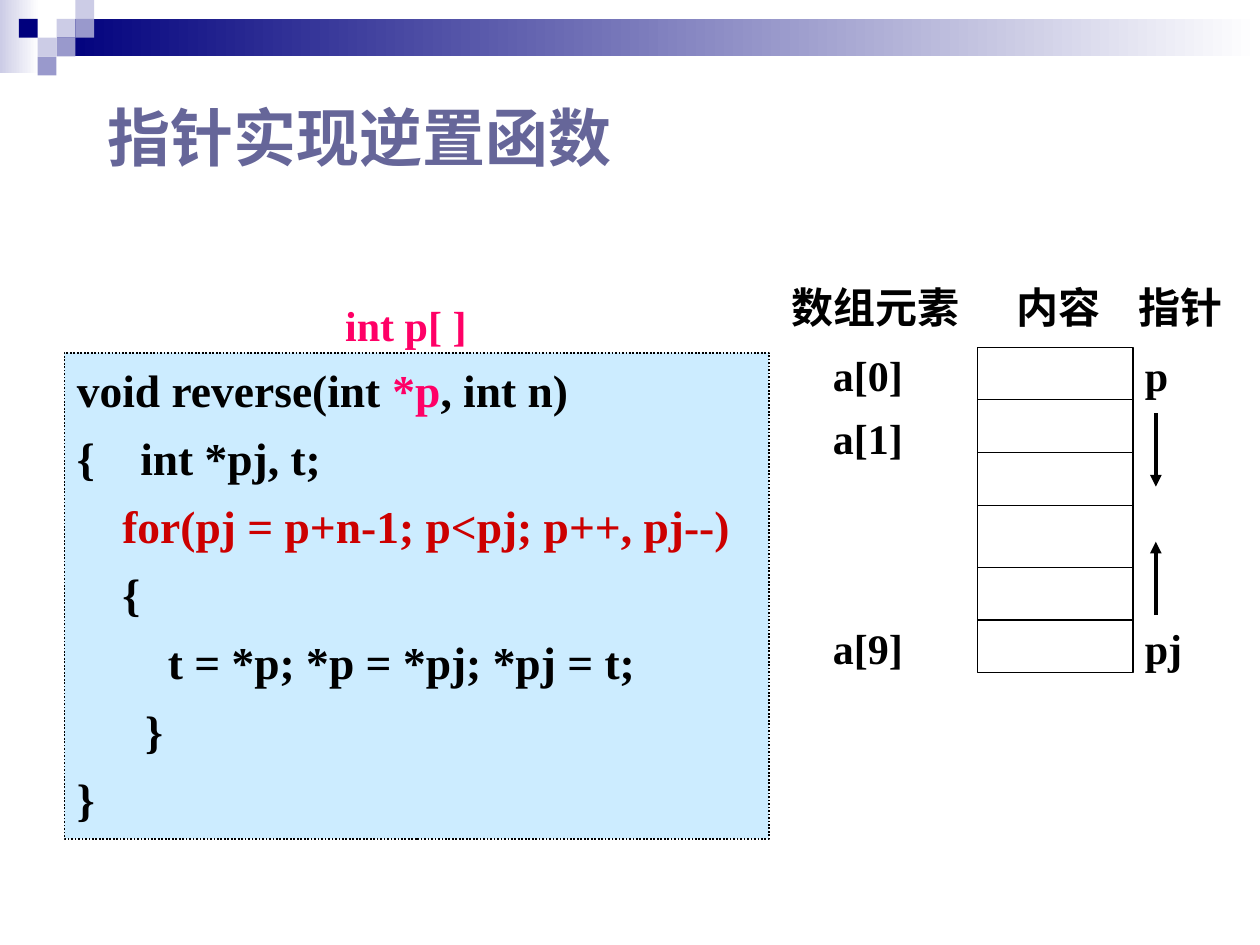
from dataclasses import dataclass

import pptx
import pptx.dml.color
import pptx.enum.dml
import pptx.enum.shapes
import pptx.enum.text
import pptx.oxml.ns
import pptx.util
from lxml import etree

Cm = pptx.util.Cm
Pt = pptx.util.Pt
qn = pptx.oxml.ns.qn


@dataclass
class Theme:
    title_font: str = "Arial"
    text_font: str = "Times New Roman"
    title_size: int = 36
    label_size: int = 24
    code_size: int = 26
    title: str = "666699"
    ink: str = "000000"
    accent: str = "FF0066"
    loop: str = "CC0000"
    panel: str = "CCECFF"
    white: str = "FFFFFF"
    navy: str = "00007D"
    pale: str = "CCCCE6"
    violet: str = "9999CC"


def rgb(value):
    return pptx.dml.color.RGBColor.from_string(value)


class Page:
    def __init__(self, deck, theme):
        self.theme = theme
        self.slide = deck.slides.add_slide(deck.slide_layouts[5])

    def style(self, para, size, color, font=None):
        para.font.name = font or self.theme.text_font
        para.font.size = Pt(size)
        para.font.bold = True
        para.font.color.rgb = rgb(color)

    def heading(self, text, left, top, width, height):
        box = self.slide.shapes.title
        box.left, box.top, box.width, box.height = map(Cm, (left, top, width, height))
        box.text_frame.text = text
        box.text_frame.vertical_anchor = pptx.enum.text.MSO_ANCHOR.MIDDLE
        para = box.text_frame.paragraphs[0]
        para.alignment = pptx.enum.text.PP_ALIGN.LEFT
        self.style(para, self.theme.title_size, self.theme.title, self.theme.title_font)

    def rect(self, left, top, width, height, fill=None, fade=None, line=None):
        box = self.slide.shapes.add_shape(
            pptx.enum.shapes.MSO_SHAPE.RECTANGLE, *map(Cm, (left, top, width, height)))
        box.shadow.inherit = False
        if fade:
            box.fill.gradient()
            box.fill.gradient_angle = 0
            for stop, color in zip(box.fill.gradient_stops, (fill, fade)):
                stop.color.rgb = rgb(color)
        elif fill:
            box.fill.solid()
            box.fill.fore_color.rgb = rgb(fill)
        else:
            box.fill.background()
        if line:
            box.line.color.rgb = rgb(self.theme.ink)
            box.line.width = Pt(line)
        else:
            box.line.fill.background()
        return box

    def line(self, start, end, width, arrow=False):
        link = self.slide.shapes.add_connector(
            pptx.enum.shapes.MSO_CONNECTOR.STRAIGHT, *map(Cm, start + end))
        link.line.color.rgb = rgb(self.theme.ink)
        link.line.width = Pt(width)
        if arrow:
            etree.SubElement(link.line._get_or_add_ln(), qn("a:tailEnd"), type="triangle")
        etree.SubElement(link._element.spPr, qn("a:effectLst"))

    def label(self, text, left, top, width, height=1.07, color=None):
        box = self.slide.shapes.add_textbox(*map(Cm, (left, top, width, height)))
        box.text_frame.word_wrap = True
        box.text_frame.vertical_anchor = pptx.enum.text.MSO_ANCHOR.MIDDLE
        box.text_frame.text = text
        self.style(box.text_frame.paragraphs[0], self.theme.label_size,
                   color or self.theme.ink)

    def code(self, lines, left, top, width, height):
        box = self.rect(left, top, width, height, fill=self.theme.panel, line=1)
        box.line.dash_style = pptx.enum.dml.MSO_LINE.ROUND_DOT
        frame = box.text_frame
        frame.word_wrap = True
        frame.vertical_anchor = pptx.enum.text.MSO_ANCHOR.TOP
        frame.margin_top = Cm(0.18)
        for index, spans in enumerate(lines):
            para = frame.add_paragraph() if index else frame.paragraphs[0]
            para.alignment = pptx.enum.text.PP_ALIGN.LEFT
            para.space_before = Pt(7.8 if index else 0)
            self.style(para, self.theme.code_size, self.theme.ink)
            for text, color in spans:
                span = para.add_run()
                span.text = text
                span.font.color.rgb = rgb(color)


def draw_banner(page):
    theme = page.theme
    unit = 0.38
    page.rect(0, 0, 0.79, 1.47, theme.pale, theme.white)
    page.rect(1.14, unit, 24.26, 0.76, theme.navy, theme.white)
    squares = [(3, 1, theme.pale), (4, 0, theme.pale), (4, 1, theme.violet),
               (2, 2, theme.pale), (1, 1, theme.navy), (3, 2, theme.violet),
               (2, 3, theme.violet)]
    for column, row, color in squares:
        page.rect(column * unit, row * unit, unit, unit, color)


def draw_array(page):
    left, right, top, bottom = 19.71, 22.84, 7.01, 13.56
    page.rect(left, top, right - left, bottom - top, line=0.75)
    for y in (8.06, 9.12, 10.19, 11.44, 12.5):
        page.line((left, y), (right, y), 0.75)
    for text, x, width in (("数组元素", 15.7, 4), ("内容", 20.25, 2.4), ("指针", 22.71, 2.4)):
        page.label(text, x, 5.54, width, 1.27)
    for name, pointer, y in (("a[0]", "p", 7.01), ("a[1]", None, 8.28), ("a[9]", "pj", 12.52)):
        page.label(name, 16.54, y, 2.5)
        if pointer:
            page.label(pointer, 22.83, y, 1.6)
    for start, end in ((8.33, 9.81), (12.4, 10.92)):
        page.line((23.3, start), (23.3, end), 2.25, arrow=True)


def main():
    theme = Theme()
    deck = pptx.Presentation()
    deck.slide_width, deck.slide_height = Cm(25.4), Cm(19.05)
    page = Page(deck, theme)
    draw_banner(page)
    page.heading("指针实现逆置函数", 1.91, 1.75, 16.79, 2.01)
    draw_array(page)
    page.code([
        [("void reverse(int ", theme.ink), ("*p", theme.accent), (", int n)", theme.ink)],
        [("{    int *pj, t;", theme.ink)],
        [("    for(pj = p+n-1; p<pj; p++, pj--)", theme.loop)],
        [("    {", theme.ink)],
        [("        t = *p; *p = *pj; *pj = t;", theme.ink)],
        [("      }", theme.ink)],
        [("}", theme.ink)],
    ], 1.3, 7.11, 14.2, 9.8)
    page.label("int p[ ]", 6.71, 5.92, 3.4, 1.27, theme.accent)
    deck.save("out.pptx")


if __name__ == "__main__":
    main()
